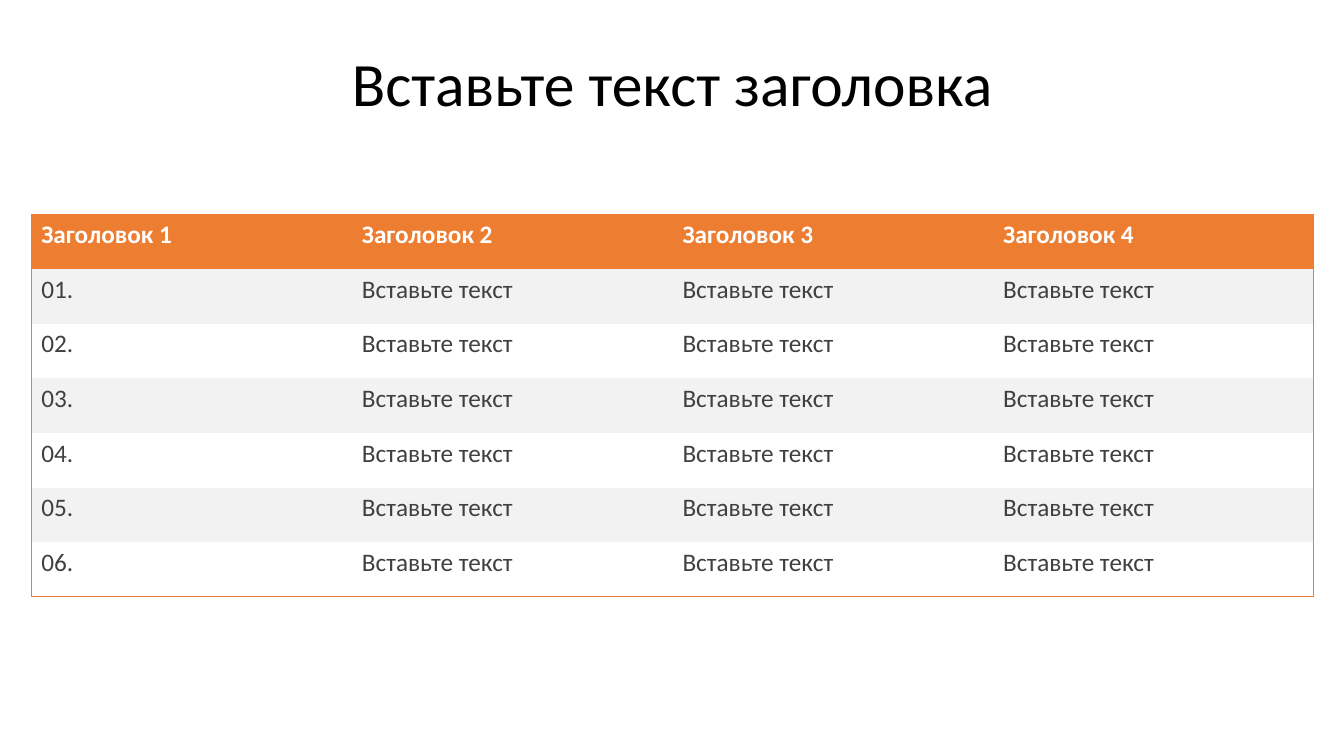
"""Build a slide with a title and a striped table in an orange frame."""
from lxml import etree
from pptx import Presentation
from pptx.dml.color import RGBColor
from pptx.enum import text
from pptx.oxml import ns
from pptx.util import Inches, Pt

TITLE = "Вставьте текст заголовка"
HEADERS = [f"Заголовок {number}" for number in range(1, 5)]
BODY = [[f"{number:02d}."] + ["Вставьте текст"] * 3 for number in range(1, 7)]
ROWS = [HEADERS] + BODY

FONT = "Calibri"
ORANGE = RGBColor(0xED, 0x7D, 0x31)
GRAY = RGBColor(0xF2, 0xF2, 0xF2)
DARK = RGBColor(0x40, 0x40, 0x40)
WHITE = RGBColor(0xFF, 0xFF, 0xFF)
BLACK = RGBColor(0x00, 0x00, 0x00)


def format_text(para, size, color, bold=False):
    for span in para.runs:
        span.font.name = FONT
        span.font.size = Pt(size)
        span.font.bold = bold
        span.font.color.rgb = color


def set_border(cell, side, visible):
    properties = cell._tc.get_or_add_tcPr()
    line = etree.SubElement(properties, ns.qn(f"a:ln{side}"), w=str(Pt(1)))
    if visible:
        fill = etree.SubElement(line, ns.qn("a:solidFill"))
        etree.SubElement(fill, ns.qn("a:srgbClr"), val=str(ORANGE))
    else:
        etree.SubElement(line, ns.qn("a:noFill"))


def add_title(page):
    title = page.shapes.title
    title.left, title.top = Inches(0.92), Inches(0.4)
    title.width, title.height = Inches(11.5), Inches(0.92)
    title.text_frame.text = TITLE
    title.text_frame.vertical_anchor = text.MSO_ANCHOR.MIDDLE
    para = title.text_frame.paragraphs[0]
    para.alignment = text.PP_ALIGN.CENTER
    para.line_spacing = 0.9
    format_text(para, 44, BLACK)


def add_grid(page):
    last_row, last_column = len(ROWS) - 1, len(HEADERS) - 1
    table = page.shapes.add_table(
        len(ROWS), len(HEADERS),
        Inches(0.31), Inches(2.13), Inches(12.72), Inches(3.79),
    ).table
    for row, values in enumerate(ROWS):
        for column, value in enumerate(values):
            cell = table.cell(row, column)
            cell.text_frame.text = value
            is_header = row == 0
            format_text(cell.text_frame.paragraphs[0], 18,
                        WHITE if is_header else DARK, is_header)
            set_border(cell, "L", column == 0)
            set_border(cell, "R", column == last_column)
            set_border(cell, "T", row == 0)
            set_border(cell, "B", row == last_row)
            cell.fill.solid()
            stripe = GRAY if row % 2 else WHITE
            cell.fill.fore_color.rgb = ORANGE if is_header else stripe


def main():
    deck = Presentation()
    deck.slide_width, deck.slide_height = Inches(13.33), Inches(7.5)
    page = deck.slides.add_slide(deck.slide_layouts.get_by_name("Title Only"))
    add_title(page)
    add_grid(page)
    deck.save("out.pptx")


if __name__ == "__main__":
    main()
